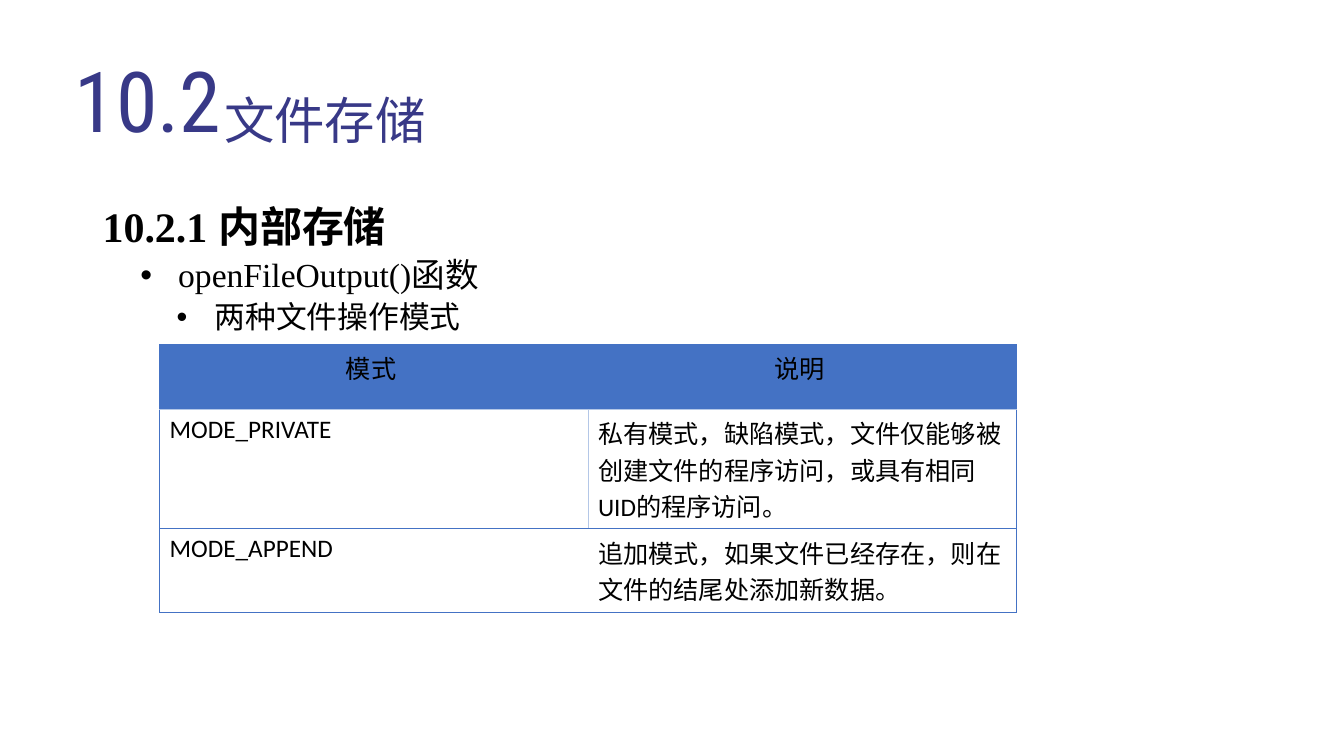
from lxml import etree
from pptx import Presentation
from pptx.dml.color import RGBColor
from pptx.enum.text import MSO_ANCHOR as Anchor, MSO_AUTO_SIZE as AutoSize, PP_ALIGN as Align
from pptx.oxml.ns import qn
from pptx.util import Pt

COLOURS = {"title": "383987", "text": "000000", "blue": "4472C4",
           "pale": "B4C7E7", "white": "FFFFFF"}
SERIF = "Times New Roman"
MODES = [
    ("模式 ", "说明 "),
    ("MODE_PRIVATE", "私有模式，缺陷模式，文件仅能够被创建文件的程序访问，或具有相同UID的程序访问。"),
    ("MODE_APPEND", "追加模式，如果文件已经存在，则在文件的结尾处添加新数据。"),
]
# Tall enough for one, three and two lines of text
ROW_HEIGHTS = [46.4, 85.2, 59.4]


def colour(name):
    return RGBColor.from_string(COLOURS[name])


def style(para, font, size, shade, bold=False):
    for span in para.runs:
        span.font.name = font
        span.font.size = Pt(size)
        span.font.bold = bold
        span.font.color.rgb = colour(shade)


def add_text(page, left, top, width, height, text, font, size, shade):
    box = page.shapes.add_textbox(Pt(left), Pt(top), Pt(width), Pt(height))
    frame = box.text_frame
    frame.word_wrap = True
    frame.text = text
    style(frame.paragraphs[0], font, size, shade)
    return frame


def add_bullet(frame, text, level, indent, size):
    para = frame.add_paragraph()
    para.text = text
    para.level = level
    para.line_spacing = 0.9
    para.space_before = Pt(5)
    style(para, SERIF, size, "text")
    properties = para._p.get_or_add_pPr()
    properties.set("marL", str(Pt(indent)))
    properties.set("indent", str(Pt(-27)))
    etree.SubElement(properties, qn("a:buFont"), typeface="Arial")
    etree.SubElement(properties, qn("a:buChar"), char="•")


def set_border(cell, side, shade):
    line = etree.Element(qn(f"a:ln{side}"), w=str(Pt(0.75)))
    if shade:
        fill = etree.SubElement(line, qn("a:solidFill"))
        etree.SubElement(fill, qn("a:srgbClr"), val=COLOURS[shade])
    else:
        etree.SubElement(line, qn("a:noFill"))
    # Borders stand before the fill, in the order L, R, T, B
    cell._tc.get_or_add_tcPr().insert("LRTB".index(side), line)


def add_mode_table(page):
    table = page.shapes.add_table(len(MODES), 2, Pt(114), Pt(246.2),
                                  Pt(612), Pt(sum(ROW_HEIGHTS))).table
    for column in table.columns:
        column.width = Pt(306)
    # Line above each row and below the last; divider inside each row
    rules = ["blue", "pale", "blue", "blue"]
    dividers = ["blue", "pale", None]
    for r, texts in enumerate(MODES):
        table.rows[r].height = Pt(ROW_HEIGHTS[r])
        edges = ["blue", dividers[r], "blue"]
        for c, text in enumerate(texts):
            cell = table.cell(r, c)
            cell.text = text
            para = cell.text_frame.paragraphs[0]
            para.alignment = Align.LEFT if r else Align.CENTER
            style(para, "Calibri", 18, "text")
            cell.fill.solid()
            cell.fill.fore_color.rgb = colour("white" if r else "blue")
            shades = (edges[c], edges[c + 1], rules[r], rules[r + 1])
            for side, shade in zip("LRTB", shades):
                set_border(cell, side, shade)


def main():
    deck = Presentation()
    deck.slide_width, deck.slide_height = Pt(960), Pt(540)
    page = deck.slides.add_slide(deck.slide_layouts[6])

    # Title
    title = add_text(page, 153, 36, 828, 104.4, "文件存储", SERIF, 36, "title")
    title.vertical_anchor = Anchor.MIDDLE
    title.paragraphs[0].line_spacing = 0.9

    # Section heading and bullets
    body = add_text(page, 66.2, 144, 828, 342.7, "10.2.1 内部存储", SERIF, 30, "text")
    heading = body.paragraphs[0]
    heading.line_spacing = 0.9
    heading.space_before = Pt(10)
    style(heading, SERIF, 30, "text", bold=True)
    add_bullet(body, "openFileOutput()函数", 1, 54, 24)
    add_bullet(body, "两种文件操作模式", 2, 80, 22)

    # File modes
    add_mode_table(page)

    # Section number
    number = add_text(page, 46.4, 31, 181.4, 80, "10.2", "Roboto Condensed", 60, "title")
    number.auto_size = AutoSize.SHAPE_TO_FIT_TEXT

    deck.save("out.pptx")


if __name__ == "__main__":
    main()
